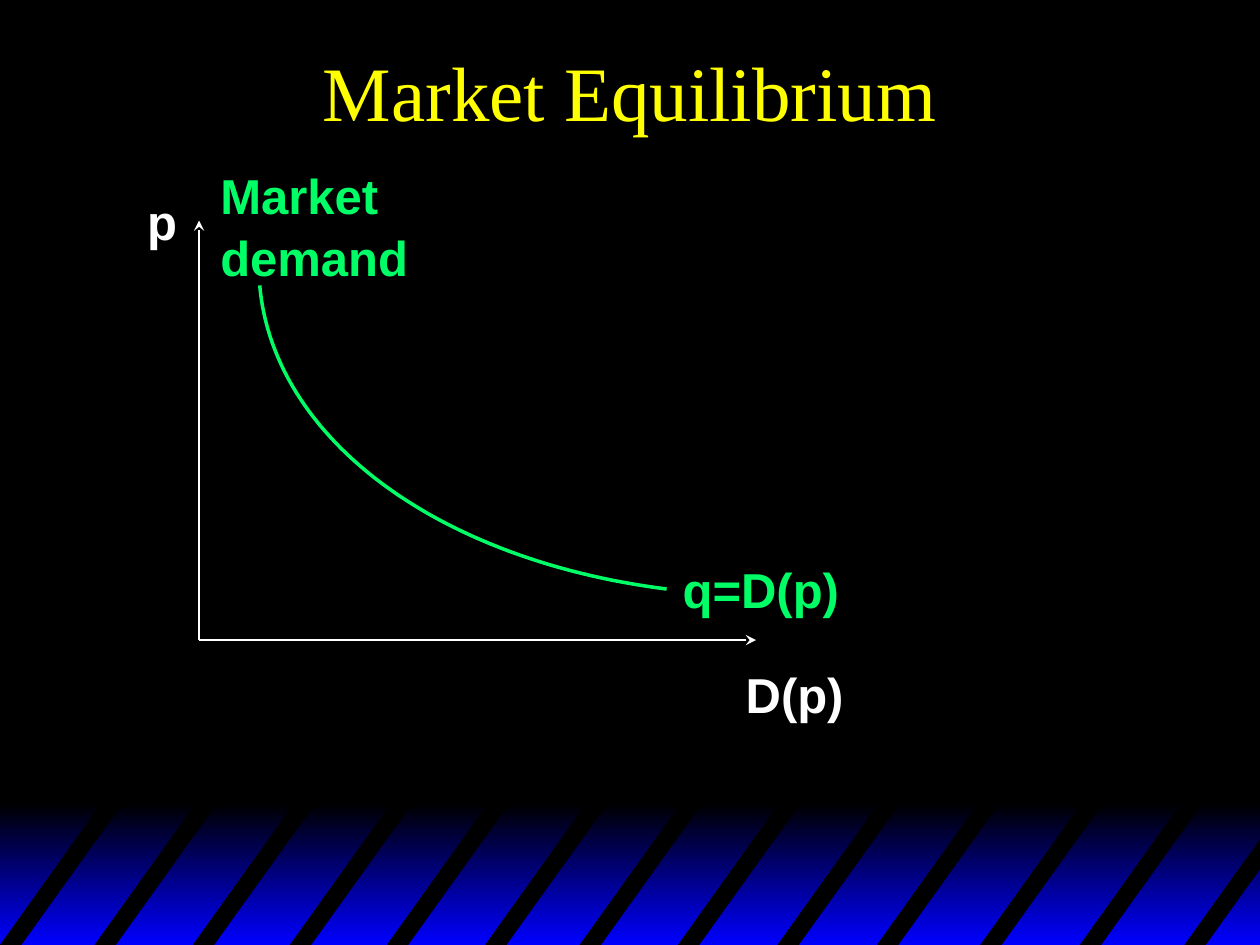
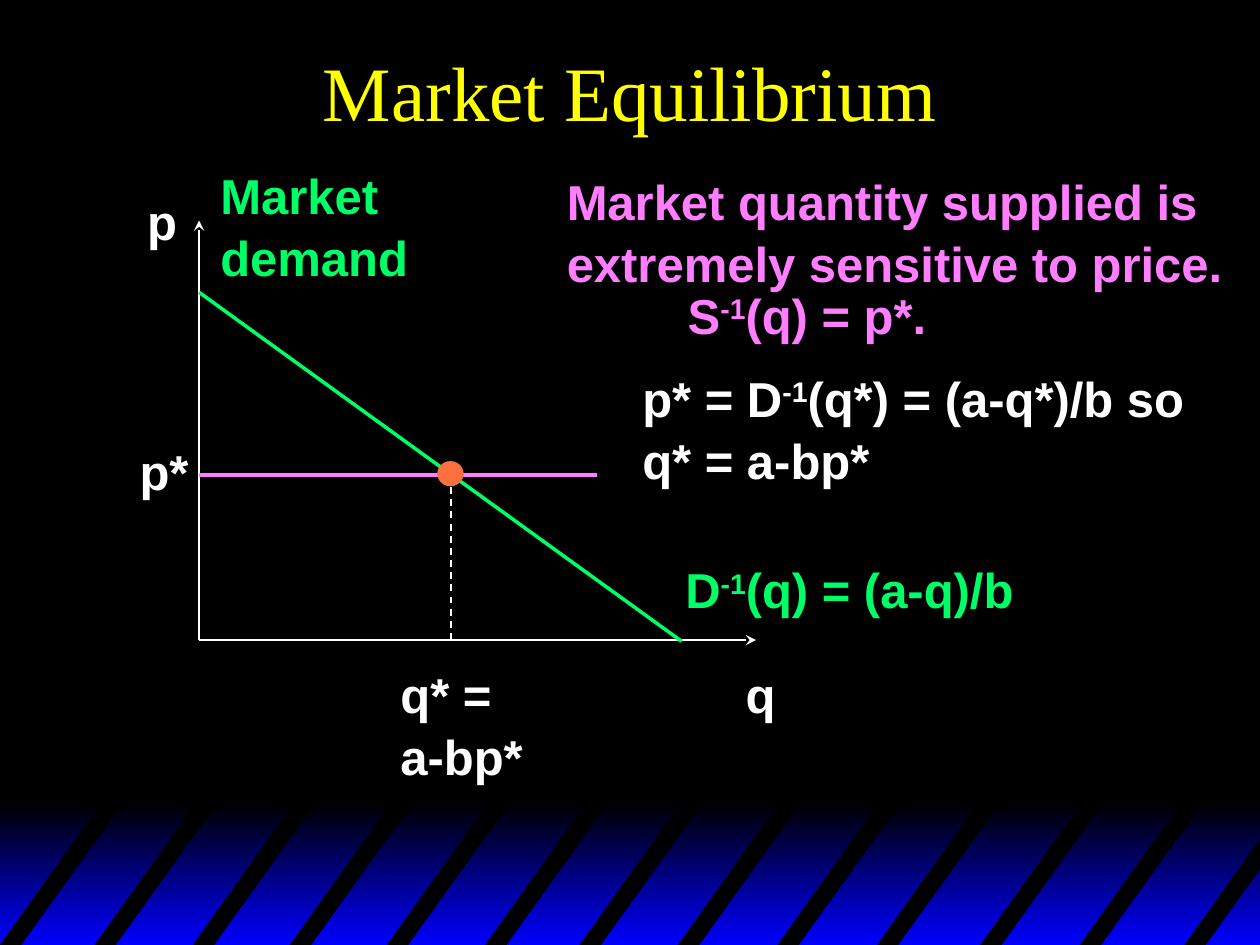
from math import cos, radians, sin

from lxml import etree
from pptx import Presentation
from pptx.dml.color import RGBColor
from pptx.enum.dml import MSO_LINE
from pptx.enum.shapes import MSO_CONNECTOR, MSO_SHAPE
from pptx.enum.text import MSO_ANCHOR, PP_ALIGN
from pptx.oxml.ns import qn
from pptx.util import Inches, Pt

COLORS = {
    "black": "000000",
    "blue": "0000FF",
    "white": "FFFFFF",
    "title": "FFFF00",
    "demand": "00FF66",
    "supply": "FF7DFF",
    "point": "FA703F",
}
WIDTH, HEIGHT = 10, 7.5
BAND = (0, 6.38, WIDTH, 1.12)
STRIPE_LEFTS = [0, 0.75, 1.53, 2.3, 3.07, 3.85, 4.6, 5.38, 6.17, 6.96, 7.78, 8.57, 9.4]
STRIPE_WIDTH, STRIPE_SLANT = 0.17, 0.83
GRAPH = (1.58, 1.75, 4.42, 3.33)


def rgb(name):
    return RGBColor.from_string(COLORS[name])


def add_text(s, box, text, color, size=28, font="Arial", bold=True):
    """Write text in a box; parts between ^ signs are superscript."""
    left, top, width, height = (Inches(v) for v in box)
    tf = s.shapes.add_textbox(left, top, width, height).text_frame
    tf.word_wrap = False
    tf.margin_top = Inches(0.07)
    p = tf.paragraphs[0]
    p.font.size, p.font.name, p.font.bold = Pt(size), font, bold
    p.font.color.rgb = rgb(color)
    p.line_spacing = 1.05
    for i, line in enumerate(text.split("\n")):
        if i:
            p.add_line_break()
        for j, part in enumerate(line.split("^")):
            r = p.add_run()
            r.text = part
            if j % 2:
                r._r.get_or_add_rPr().set("baseline", "30000")
    return tf


def add_line(s, start, end, color, width, arrow=False, dashed=False):
    line = s.shapes.add_connector(
        MSO_CONNECTOR.STRAIGHT, *(Inches(v) for v in (*start, *end)))
    line.line.color.rgb = rgb(color)
    line.line.width = Pt(width)
    if dashed:
        line.line.dash_style = MSO_LINE.DASH
    if arrow:
        etree.SubElement(line.line._get_or_add_ln(), qn("a:tailEnd"), type="stealth")
    etree.SubElement(line._element.spPr, qn("a:effectLst"))


def add_outline(s, points, closed):
    start, *rest = [(Inches(x), Inches(y)) for x, y in points]
    builder = s.shapes.build_freeform(*start)
    builder.add_line_segments(rest, close=closed)
    sp = builder.convert_to_shape()
    sp.shadow.inherit = False
    return sp


def add_stripe(s, x, top, bottom):
    """Draw one slanted stripe, cut off at the right edge of the slide."""
    slope = (bottom - top) / STRIPE_SLANT
    right = x + STRIPE_WIDTH
    points = [(x, bottom)]
    for edge in (x, right):
        end = min(edge + STRIPE_SLANT, WIDTH)
        points.append((end, bottom - (end - edge) * slope))
    points.append((right, bottom))
    sp = add_outline(s, points, True)
    sp.fill.solid()
    sp.fill.fore_color.rgb = rgb("black")
    sp.line.fill.background()


def add_band(s, box):
    left, top, width, height = box
    sp = s.shapes.add_shape(MSO_SHAPE.RECTANGLE, *(Inches(v) for v in box))
    sp.shadow.inherit = False
    sp.line.fill.background()
    sp.fill.gradient()
    sp.fill.gradient_angle = 270
    for stop, color in zip(sp.fill.gradient_stops, ("black", "blue")):
        stop.color.rgb = rgb(color)
    for x in STRIPE_LEFTS:
        add_stripe(s, left + x, top - 0.04, top + height)


def add_base_slide(prs, title):
    s = prs.slides.add_slide(prs.slide_layouts[6])
    add_band(s, BAND)
    tf = add_text(s, (0, 0.03, WIDTH, 1.33), title, "title", 44, "Times New Roman", False)
    tf.word_wrap = True
    tf.vertical_anchor = MSO_ANCHOR.MIDDLE
    tf.paragraphs[0].alignment = PP_ALIGN.CENTER
    return s


def add_axes(s, box, quantity, quantity_width):
    left, top, width, height = box
    origin = (left, top + height)
    add_line(s, origin, (left, top), "white", 1, arrow=True)
    add_line(s, origin, (left + width, top + height), "white", 1, arrow=True)
    add_text(s, (left - 0.51, top - 0.32, 0.44, 0.57), "p", "white")
    add_text(s, (left + width - 0.18, top + height + 0.1, quantity_width, 0.57),
             quantity, "white")
    add_text(s, (left + 0.07, top - 0.53, 1.69, 1.04), "Market\ndemand", "demand")


def add_demand_curve(s, box):
    """Draw demand as part of an ellipse tilted by five degrees."""
    left, top = box[:2]
    center_x, center_y = left + 4.88, top + 0.13
    radius_x, radius_y, tilt = 4.415, 2.83, radians(-5)
    start, end, steps = 180, 108.6, 60
    points = []
    for i in range(steps + 1):
        angle = radians(start + (end - start) * i / steps)
        x, y = radius_x * cos(angle), radius_y * sin(angle)
        points.append((center_x + x * cos(tilt) - y * sin(tilt),
                       center_y + x * sin(tilt) + y * cos(tilt)))
    sp = add_outline(s, points, False)
    sp.fill.background()
    sp.line.color.rgb = rgb("demand")
    sp.line.width = Pt(2)


def add_equilibrium(s, box):
    left, top, _, height = box
    bottom = top + height
    x, y = left + 2, top + 2.02
    add_line(s, (left, y), (left + 3.16, y), "supply", 2)
    add_line(s, (left, top + 0.57), (left + 3.83, bottom + 0.01), "demand", 2)
    add_line(s, (x, y), (x, bottom), "white", 1, dashed=True)
    dot = s.shapes.add_shape(MSO_SHAPE.OVAL, Inches(x - 0.11), Inches(y - 0.11),
                             Inches(0.21), Inches(0.2))
    dot.shadow.inherit = False
    dot.fill.solid()
    dot.fill.fore_color.rgb = rgb("point")
    dot.line.fill.background()
    add_text(s, (left - 0.57, y - 0.36, 0.59, 0.57), "p*", "white")
    add_text(s, (left + 1.5, bottom + 0.1, 1.17, 1.04), "q* =\na-bp*", "white")


def build_demand_slide(prs):
    s = add_base_slide(prs, "Market Equilibrium")
    add_axes(s, GRAPH, "D(p)", 0.98)
    add_demand_curve(s, GRAPH)
    add_text(s, (5.32, 4.35, 1.44, 0.57), "q=D(p)", "demand")


def build_equilibrium_slide(prs):
    s = add_base_slide(prs, "Market Equilibrium")
    add_axes(s, GRAPH, "q", 0.44)
    add_equilibrium(s, GRAPH)
    add_text(s, (4.4, 1.27, 5.4, 1.04),
             "Market quantity supplied is\nextremely sensitive to price.", "supply")
    add_text(s, (5.36, 2.17, 2.1, 0.57), "S^-1^(q) = p*.", "supply")
    add_text(s, (5, 2.83, 4.5, 1.04),
             "p* = D^-1^(q*) = (a-q*)/b so\nq* = a-bp*", "white")
    add_text(s, (5.34, 4.35, 2.81, 0.57), "D^-1^(q) = (a-q)/b", "demand")


def main():
    prs = Presentation()
    prs.slide_width, prs.slide_height = Inches(WIDTH), Inches(HEIGHT)
    background = prs.slide_master.background.fill
    background.solid()
    background.fore_color.rgb = rgb("black")
    build_demand_slide(prs)
    build_equilibrium_slide(prs)
    prs.save("out.pptx")


if __name__ == "__main__":
    main()
